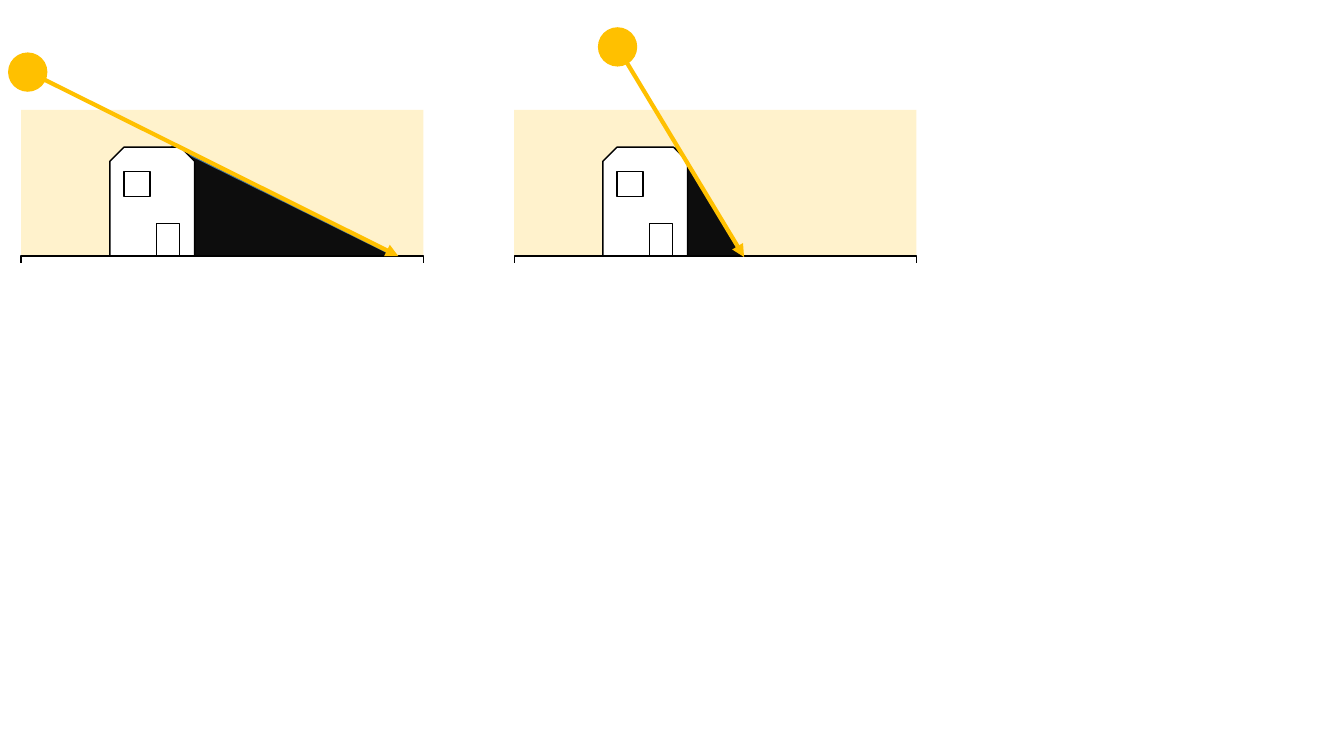
"""Draw two houses whose shadows shorten as the sun climbs."""
from dataclasses import dataclass
from typing import Optional

from lxml.etree import SubElement
from pptx import Presentation
from pptx.dml.color import RGBColor
from pptx.enum.shapes import MSO_CONNECTOR as CONN, MSO_SHAPE as SHAPE
from pptx.oxml.ns import qn
from pptx.util import Inches, Pt

COLORS = {
    "sky": "FFF2CC",
    "shadow": "0D0D0D",
    "shadow_edge": "43739E",
    "white": "FFFFFF",
    "black": "000000",
    "sun": "FFC000",
}
SKY_TOP, GROUND_TOP, MASK_TOP = 1.09, 2.54, 2.62
SCENE_W, SUN_SIZE = 3.99, 0.39


@dataclass(frozen=True)
class Box:
    x: float
    y: float
    w: float
    h: float


@dataclass(frozen=True)
class Part:
    kind: SHAPE
    box: Box


@dataclass(frozen=True)
class Scene:
    x: float
    shadow: Box
    angle: float
    sun: tuple[float, float]
    ray: tuple[float, float, float, float]
    mask_h: float


HOUSE = [
    Part(SHAPE.SNIP_2_SAME_RECTANGLE, Box(0.88, 1.46, 0.84, 1.09)),
    Part(SHAPE.RECTANGLE, Box(1.02, 1.7, 0.26, 0.25)),
    Part(SHAPE.RECTANGLE, Box(1.34, 2.22, 0.23, 0.32)),
]
SCENES = [
    Scene(0.21, Box(1.32, 1.92, 2.4, 1.18), 26.3, (0.08, 0.52), (0.28, 0.71, 3.95, 2.54), 1.28),
    Scene(5.1, Box(5.79, 2.29, 2.4, 0.81), 58.8, (5.93, 0.27), (6.12, 0.46, 7.38, 2.55), 1.55),
]


def rgb(name: str) -> RGBColor:
    return RGBColor.from_string(COLORS[name])


def add_box(s, kind: SHAPE, box: Box, fill: str, line: Optional[str] = None, angle: float = 0) -> None:
    sp = s.shapes.add_shape(kind, Inches(box.x), Inches(box.y), Inches(box.w), Inches(box.h))
    sp.shadow.inherit = False
    sp.rotation = angle
    sp.fill.solid()
    sp.fill.fore_color.rgb = rgb(fill)
    if line:
        sp.line.color.rgb = rgb(line)
        sp.line.width = Pt(1)
    else:
        sp.line.fill.background()


def add_ray(s, ends: tuple[float, float, float, float]) -> None:
    cxn = s.shapes.add_connector(CONN.STRAIGHT, *(Inches(v) for v in ends))
    cxn.line.color.rgb = rgb("sun")
    cxn.line.width = Pt(3)
    SubElement(cxn.line._get_or_add_ln(), qn("a:tailEnd"), type="triangle")
    SubElement(cxn._element.spPr, qn("a:effectLst"))


def draw_scene(s, scene: Scene) -> None:
    rect = SHAPE.RECTANGLE
    add_box(s, rect, Box(scene.x, SKY_TOP, SCENE_W, 1.78), "sky")
    add_box(s, rect, scene.shadow, "shadow", "shadow_edge", scene.angle)
    for part in HOUSE:
        b = part.box
        add_box(s, part.kind, Box(scene.x + b.x, b.y, b.w, b.h), "white", "black")
    add_box(s, SHAPE.OVAL, Box(*scene.sun, SUN_SIZE, SUN_SIZE), "sun")
    add_box(s, rect, Box(scene.x, GROUND_TOP, SCENE_W, 0.11), "white", "black")
    add_ray(s, scene.ray)
    add_box(s, rect, Box(scene.x - 0.13, MASK_TOP, 4.96, scene.mask_h), "white", "white")


prs = Presentation()
prs.slide_width, prs.slide_height = Inches(13.33), Inches(7.5)
s = prs.slides.add_slide(prs.slide_layouts[6])
for scene in SCENES:
    draw_scene(s, scene)
prs.save("out.pptx")
